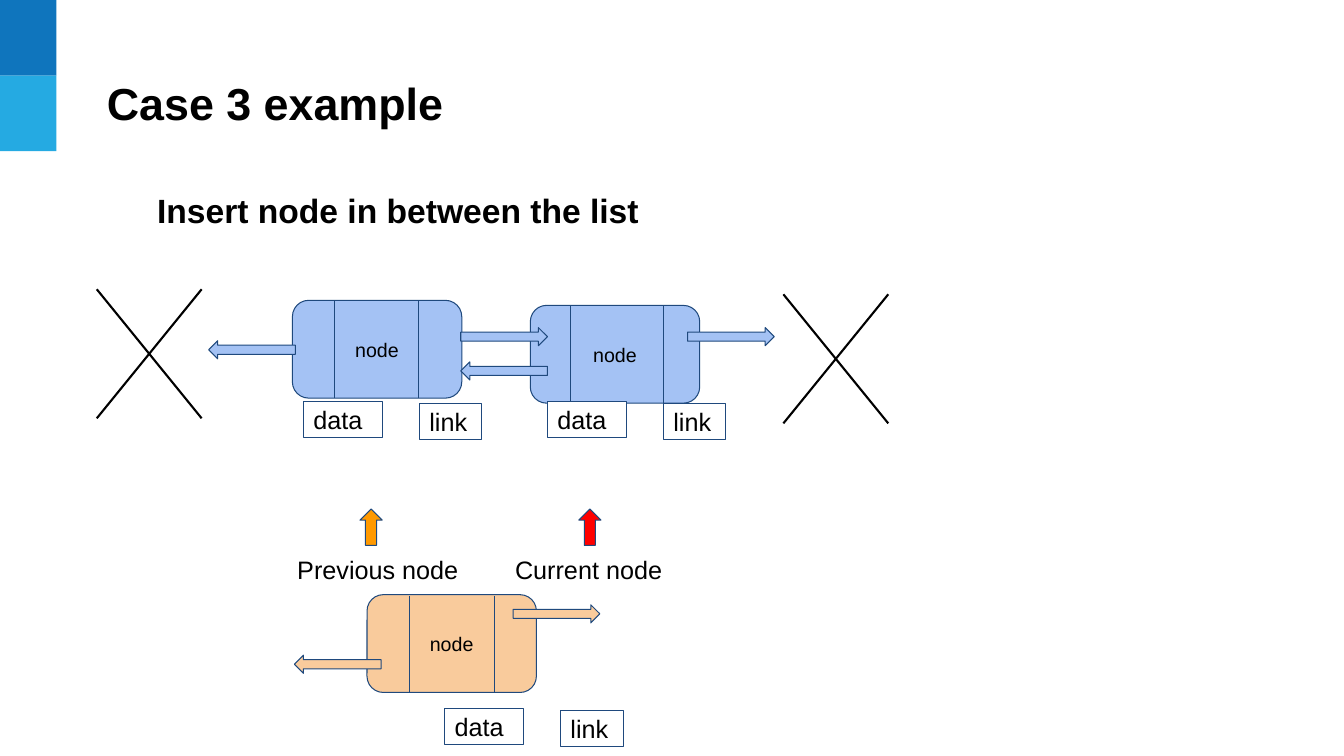
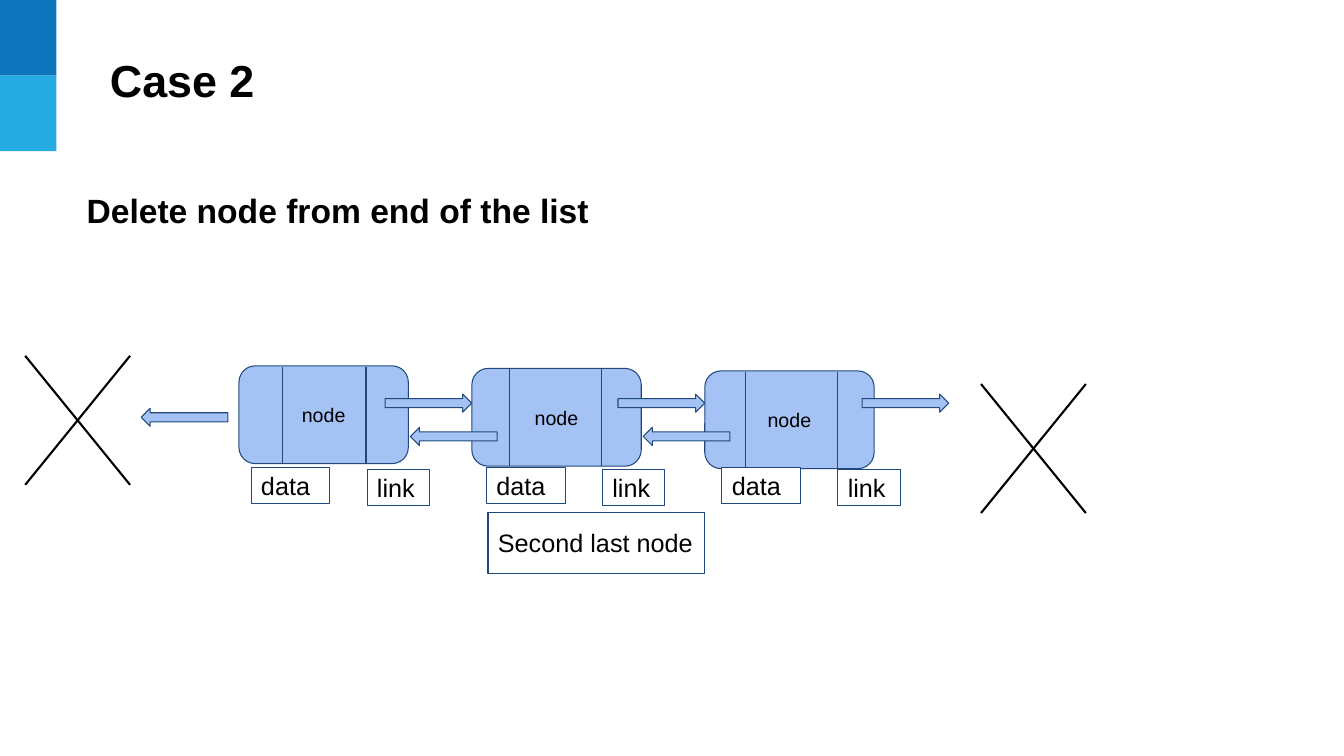
"""Build two slides on linked list insertion and deletion."""
from lxml.etree import SubElement
from pptx import Presentation
from pptx.dml.color import RGBColor
from pptx.enum.shapes import MSO_SHAPE as Shape
from pptx.enum.text import MSO_ANCHOR as Anchor, MSO_AUTO_SIZE as Fit, PP_ALIGN as Align
from pptx.oxml.ns import qn
from pptx.util import Inches, Pt

BLACK = RGBColor(0x00, 0x00, 0x00)
WHITE = RGBColor(0xFF, 0xFF, 0xFF)
NAVY = RGBColor(0x1F, 0x49, 0x7D)
BLUE = RGBColor(0x0F, 0x75, 0xBD)
CYAN = RGBColor(0x25, 0xAA, 0xE2)
SKY = RGBColor(0xA4, 0xC2, 0xF4)
PEACH = RGBColor(0xF9, 0xCB, 0x9C)
AMBER = RGBColor(0xFF, 0x99, 0x00)
RED = RGBColor(0xFF, 0x00, 0x00)

FONT = "Arial"
NODE_W, NODE_H = 1.68, 0.97
ARROW_W, ARROW_H = 0.86, 0.18
CROSS_W, CROSS_H = 1.04, 1.28
TAG_H = 0.36
LINK_GAP = 1.15


def write(frame, text, size, bold=False, align=Align.LEFT, anchor=Anchor.MIDDLE, inset=0.1):
    """Put one styled run into a text frame."""
    frame.word_wrap = True
    frame.auto_size = Fit.NONE
    frame.vertical_anchor = anchor
    frame.margin_left = frame.margin_right = Inches(0.1)
    frame.margin_top = frame.margin_bottom = Inches(inset)
    para = frame.paragraphs[0]
    para.alignment = align
    run = para.add_run()
    run.text = text
    run.font.name = FONT
    run.font.size = Pt(size)
    run.font.bold = bold
    run.font.color.rgb = BLACK


def add_form(slide, kind, x, y, width, height, fill, line=NAVY):
    """Add a filled preset shape with a thin outline."""
    form = slide.shapes.add_shape(kind, Inches(x), Inches(y), Inches(width), Inches(height))
    form.shadow.inherit = False
    form.fill.solid()
    form.fill.fore_color.rgb = fill
    form.line.color.rgb = line
    form.line.width = Pt(0.75)
    return form


def add_line(slide, x1, y1, x2, y2, color=NAVY, width=0.75):
    """Add a straight line without shadow."""
    line = slide.shapes.add_connector(1, Inches(x1), Inches(y1), Inches(x2), Inches(y2))
    line.line.color.rgb = color
    line.line.width = Pt(width)
    SubElement(line.element.spPr, qn("a:effectLst"))


def add_node(slide, x, y, left, right, fill=SKY):
    """Add a list node with dividers at two offsets."""
    node = add_form(slide, Shape.ROUNDED_RECTANGLE, x, y, NODE_W, NODE_H, fill)
    write(node.text_frame, "node", 14, align=Align.CENTER)
    for shift in (left, right):
        add_line(slide, x + shift, y + 0.01, x + shift, y + NODE_H)


def add_tag(slide, text, x, y, width, height=TAG_H, line=NAVY):
    """Add a white box with a label."""
    tag = add_form(slide, Shape.RECTANGLE, x, y, width, height, WHITE, line)
    write(tag.text_frame, text, 18)


def add_pair(slide, x, y):
    """Add the data and link labels of a node."""
    add_tag(slide, "data", x, y, 0.78)
    add_tag(slide, "link", x + LINK_GAP, y + 0.02, 0.62)


def add_arrows(slide, kind, spots, fill=SKY):
    """Add block arrows of one kind at several spots."""
    for x, y in spots:
        add_form(slide, kind, x, y, ARROW_W, ARROW_H, fill)


def add_cross(slide, x, y):
    """Add a black cross that marks an end of the list."""
    for top, base in ((y, y + CROSS_H), (y + CROSS_H, y)):
        add_line(slide, x, top, x + CROSS_W, base, BLACK, 1.5)


def add_marker(slide, text, x, width, tip, fill):
    """Add an up arrow with its caption."""
    add_form(slide, Shape.UP_ARROW, tip, 5.05, 0.22, 0.36, fill)
    add_tag(slide, text, x, 5.47, width, line=WHITE)


def add_bands(slide, layout):
    """Place the two corner bands on the layout."""
    for i, color in enumerate((BLUE, CYAN)):
        band = add_form(slide, Shape.RECTANGLE, 0, 0.75 * i, 0.56, 0.75, color)
        band.line.fill.background()
        band.element.nvSpPr.cNvPr.id = 20 + i
        layout.shapes.element.insert(2 + i, band.element)


def add_heads(slide, title, x, y, text, text_x):
    """Fill the title and add the bold line below it."""
    head = slide.shapes.title
    head.left, head.top = Inches(x), Inches(y)
    head.width, head.height = Inches(8.75), Inches(0.9)
    write(head.text_frame, title, 32, bold=True, inset=0.05)
    box = slide.shapes.add_textbox(Inches(text_x), Inches(1.78), Inches(9.65), Inches(0.61))
    write(box.text_frame, text, 24, bold=True, anchor=Anchor.TOP)


def fill_insert(slide):
    """Draw a node being inserted between two others."""
    add_heads(slide, "Case 3 example", 0.96, 0.57, "Insert node in between the list", 1.46)
    add_node(slide, 3.64, 5.9, 0.42, 1.26, PEACH)
    add_pair(slide, 4.41, 7.03)
    add_arrows(slide, Shape.LEFT_ARROW, [(2.92, 6.5)], PEACH)
    add_arrows(slide, Shape.RIGHT_ARROW, [(5.09, 6)], PEACH)
    add_node(slide, 5.26, 3.03, 0.4, 1.32)
    add_node(slide, 2.9, 2.98, 0.42, 1.25)
    for x in (3.01, 5.43):
        add_pair(slide, x, 3.98)
    add_arrows(slide, Shape.RIGHT_ARROW, [(4.57, 3.25), (6.82, 3.25)])
    add_arrows(slide, Shape.LEFT_ARROW, [(2.07, 3.38), (4.57, 3.59)])
    add_marker(slide, "Previous node", 2.85, 1.93, 3.57, AMBER)
    add_marker(slide, "Current node", 5.01, 1.68, 5.74, RED)
    add_cross(slide, 0.96, 2.87)
    add_cross(slide, 7.77, 2.92)


def fill_delete(slide):
    """Draw a list whose last node is to be deleted."""
    add_heads(slide, "Case 2", 0.99, 0.34, "Delete node from end of the list", 0.76)
    for i, (left, right) in enumerate(((0.43, 1.26), (0.37, 1.29), (0.4, 1.32))):
        add_node(slide, 2.37 + 2.31 * i, 3.63 + 0.025 * i, left, right)
        add_pair(slide, 2.49 + 2.335 * i, 4.635)
    add_arrows(slide, Shape.RIGHT_ARROW, [(x, 3.91) for x in (3.82, 6.13, 8.55)])
    add_arrows(slide, Shape.LEFT_ARROW, [(1.4, 4.05), (4.07, 4.24), (6.38, 4.24)])
    add_tag(slide, "Second last node", 4.84, 5.08, 2.15, 0.61)
    add_cross(slide, 0.25, 3.53)
    add_cross(slide, 9.73, 3.81)


def main():
    """Build and save the deck."""
    deck = Presentation()
    deck.slide_width, deck.slide_height = Inches(13.33), Inches(7.5)
    layout = deck.slide_layouts[5]
    first, second = (deck.slides.add_slide(layout) for _ in range(2))
    add_bands(first, layout)
    fill_insert(first)
    fill_delete(second)
    deck.save("out.pptx")


if __name__ == "__main__":
    main()
